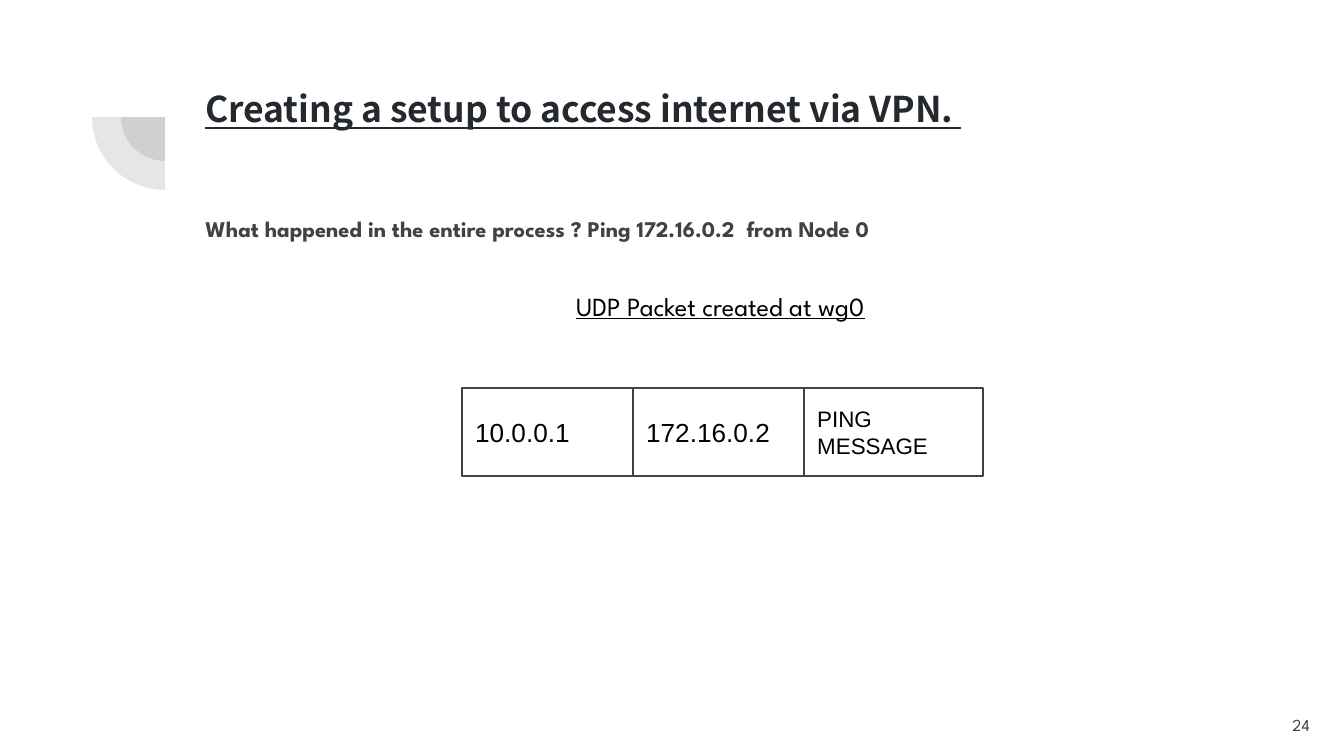
from dataclasses import dataclass

import pptx
import pptx.dml.color
import pptx.enum.shapes
import pptx.enum.text
import pptx.oxml
import pptx.oxml.ns
import pptx.util

PX = 914400 / 134.4
COLORS = {"white": "FFFFFF", "gray": "424242", "black": "000000", "navy": "24292F"}
SPARTAN = "League Spartan"
ALIGN = pptx.enum.text.PP_ALIGN
ANCHOR = pptx.enum.text.MSO_ANCHOR
SHAPES = pptx.enum.shapes.MSO_SHAPE


@dataclass(frozen=True)
class Box:
    left: int
    top: int
    width: int
    height: int

    def emu(self) -> list[int]:
        return [px(n) for n in (self.left, self.top, self.width, self.height)]


@dataclass(frozen=True)
class TextStyle:
    size: int
    font: str = SPARTAN
    color: str = "black"
    bold: bool = False
    underline: bool = False
    align: ALIGN = ALIGN.LEFT
    anchor: ANCHOR = ANCHOR.TOP


@dataclass(frozen=True)
class PacketField:
    text: str
    width: int
    size: int


PACKET = [
    PacketField("10.0.0.1", 171, 14),
    PacketField("172.16.0.2", 171, 14),
    PacketField("PING MESSAGE", 179, 12),
]
PACKET_LEFT, PACKET_TOP, PACKET_HEIGHT = 462, 388, 88


def px(length: int) -> int:
    return round(length * PX)


def rgb(name: str) -> pptx.dml.color.RGBColor:
    return pptx.dml.color.RGBColor.from_string(COLORS[name])


def remove_bullet(paragraph) -> None:
    properties = paragraph._p.get_or_add_pPr()
    properties.set("marL", "0")
    properties.set("indent", "0")
    properties.append(pptx.oxml.parse_xml(
        f"<a:buNone {pptx.oxml.ns.nsdecls('a')}/>"))


def write(shape, text: str, style: TextStyle):
    """Fill a shape with one styled paragraph and return the paragraph."""
    frame = shape.text_frame
    frame.word_wrap = True
    frame.auto_size = pptx.enum.text.MSO_AUTO_SIZE.NONE
    frame.vertical_anchor = style.anchor
    inset = pptx.util.Inches(0.1)
    frame.margin_left = frame.margin_right = inset
    frame.margin_top = frame.margin_bottom = inset
    frame.text = text
    paragraph = frame.paragraphs[0]
    if shape.is_placeholder:
        remove_bullet(paragraph)
    paragraph.alignment = style.align
    font = paragraph.font
    font.name, font.size = style.font, pptx.util.Pt(style.size)
    font.bold, font.underline = style.bold, style.underline
    font.color.rgb = rgb(style.color)
    return paragraph


def fill_placeholder(shape, box: Box, text: str, style: TextStyle) -> None:
    shape.left, shape.top, shape.width, shape.height = box.emu()
    paragraph = write(shape, text, style)
    paragraph.line_spacing = 1.15
    paragraph.space_before = pptx.util.Pt(0)
    paragraph.space_after = pptx.util.Pt(12)


def add_label(slide, box: Box, text: str, style: TextStyle) -> None:
    write(slide.shapes.add_textbox(*box.emu()), text, style)


def add_quarter(slide, center_x: int, center_y: int, radius: int) -> None:
    """Draw a translucent lower-left quarter of a circle."""
    box = Box(center_x - radius, center_y - radius, 2 * radius, 2 * radius)
    shape = slide.shapes.add_shape(SHAPES.PIE, *box.emu())
    shape.adjustments[0], shape.adjustments[1] = 108, 162
    shape.rotation = 270
    shape.shadow.inherit = False
    shape.line.fill.background()
    shape.fill.solid()
    shape.fill.fore_color.rgb = rgb("gray")
    color = shape.fill._xPr.find(".//" + pptx.oxml.ns.qn("a:srgbClr"))
    color.append(pptx.oxml.parse_xml(
        f"<a:alpha {pptx.oxml.ns.nsdecls('a')} val='13000'/>"))


def add_packet_field(slide, left: int, field: PacketField) -> None:
    box = Box(left, PACKET_TOP, field.width, PACKET_HEIGHT)
    shape = slide.shapes.add_shape(SHAPES.RECTANGLE, *box.emu())
    shape.shadow.inherit = False
    shape.fill.solid()
    shape.fill.fore_color.rgb = rgb("white")
    shape.line.color.rgb = rgb("gray")
    shape.line.width = pptx.util.Pt(0.75)
    write(shape, field.text, TextStyle(field.size, "Arial", anchor=ANCHOR.MIDDLE))


def main() -> None:
    presentation = pptx.Presentation()
    presentation.slide_width, presentation.slide_height = px(1344), px(756)
    slide = presentation.slides.add_slide(presentation.slide_layouts[1])
    slide.background.fill.solid()
    slide.background.fill.fore_color.rgb = rgb("white")

    for radius in (44, 73):
        add_quarter(slide, 165, 117, radius)

    fill_placeholder(
        slide.shapes.title, Box(192, 67, 1034, 89),
        "Creating a setup to access internet via VPN. ",
        TextStyle(19, "Noto Sans CJK JP", "navy", bold=True, underline=True))
    fill_placeholder(
        slide.placeholders[1], Box(192, 198, 790, 59),
        "What happened in the entire process ? Ping 172.16.0.2  from Node 0",
        TextStyle(12, color="gray", bold=True))
    add_label(slide, Box(563, 277, 405, 59), "UDP Packet created at wg0",
              TextStyle(14, underline=True))

    left = PACKET_LEFT
    for field in PACKET:
        add_packet_field(slide, left, field)
        left += field.width

    add_label(slide, Box(1242, 696, 81, 58), "24",
              TextStyle(9, color="gray", align=ALIGN.RIGHT, anchor=ANCHOR.MIDDLE))
    presentation.save("out.pptx")


if __name__ == "__main__":
    main()
